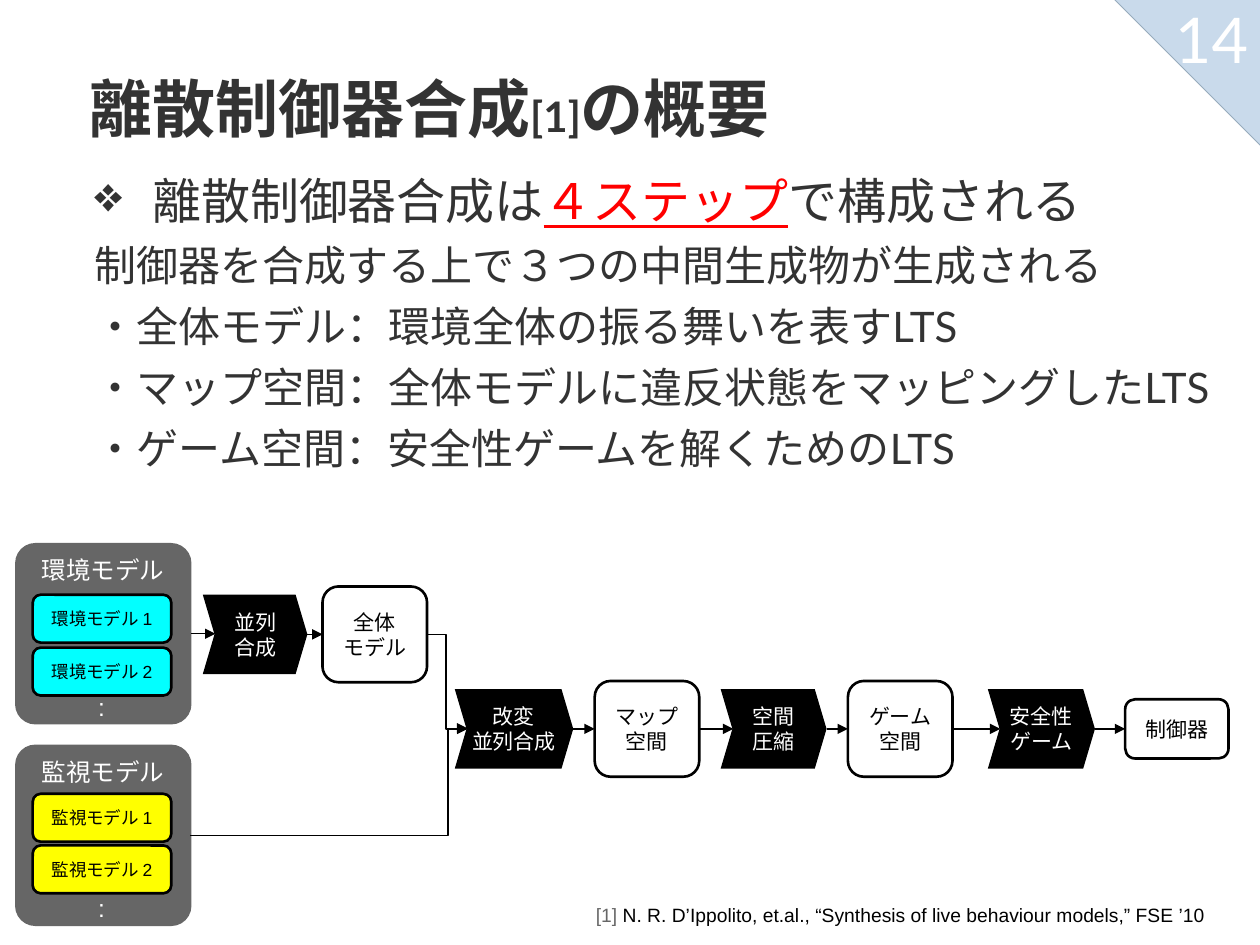
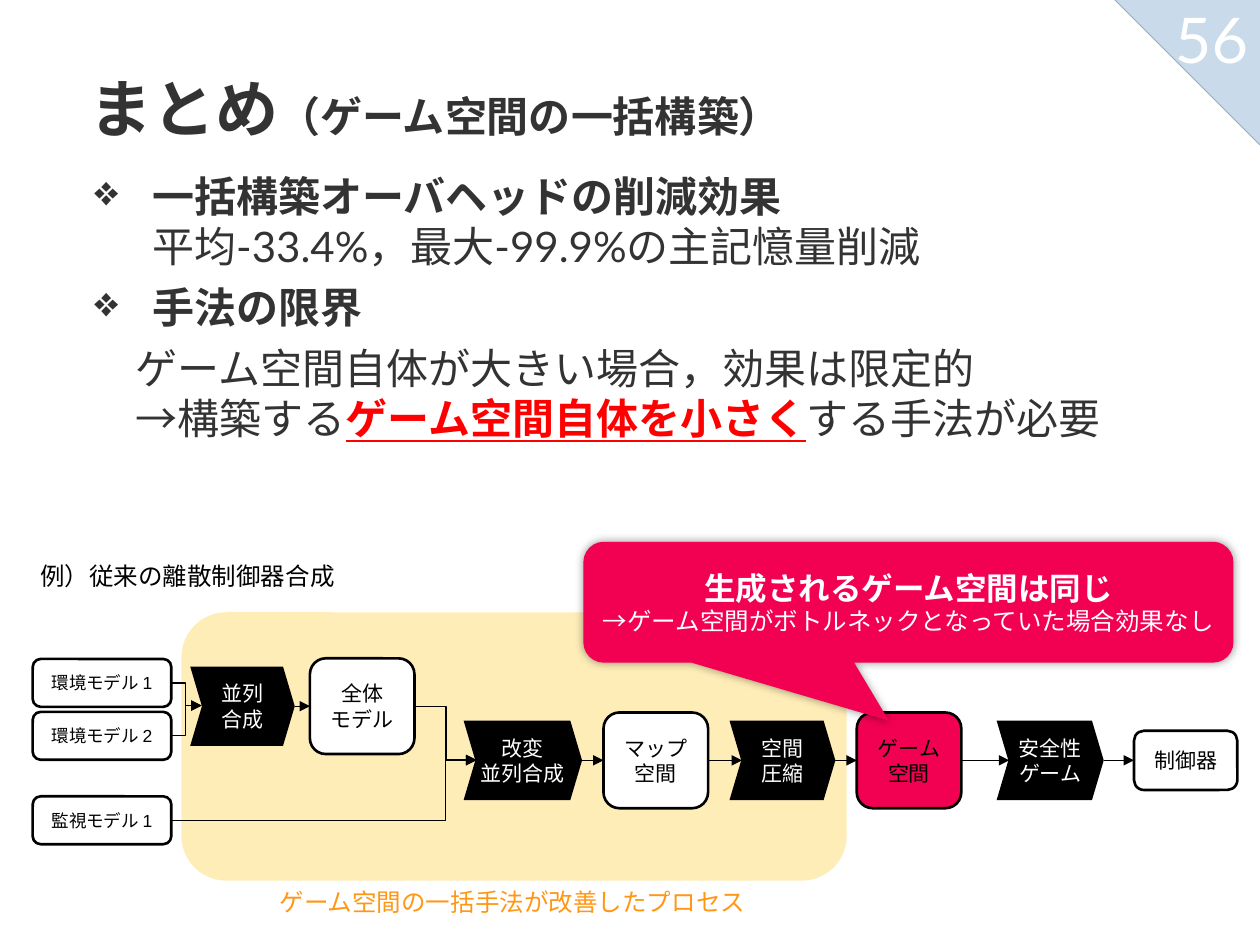
"""Two slides on discrete controller synthesis, sharing one process diagram."""
from lxml import etree
from pptx import Presentation
from pptx.dml.color import RGBColor
from pptx.enum.shapes import MSO_CONNECTOR, MSO_SHAPE
from pptx.enum.text import MSO_ANCHOR, PP_ALIGN
from pptx.oxml.ns import qn
from pptx.util import Inches, Pt

ROUND, CHEVRON = MSO_SHAPE.ROUNDED_RECTANGLE, MSO_SHAPE.CHEVRON
TRIANGLE, CALLOUT = MSO_SHAPE.RIGHT_TRIANGLE, MSO_SHAPE.ROUNDED_RECTANGULAR_CALLOUT
STRAIGHT, ELBOW = MSO_CONNECTOR.STRAIGHT, MSO_CONNECTOR.ELBOW
LEFT, CENTER = PP_ALIGN.LEFT, PP_ALIGN.CENTER
TOP, MIDDLE, BOTTOM = MSO_ANCHOR.TOP, MSO_ANCHOR.MIDDLE, MSO_ANCHOR.BOTTOM

BLACK = RGBColor(0x00, 0x00, 0x00)
WHITE = RGBColor(0xFF, 0xFF, 0xFF)
INK = RGBColor(0x33, 0x33, 0x33)
GRAY = RGBColor(0x66, 0x66, 0x66)
CORNER = RGBColor(0xC9, 0xDA, 0xEB)
CORNER_EDGE = RGBColor(0x97, 0xAB, 0xBC)
RED = RGBColor(0xFF, 0x00, 0x00)
CYAN = RGBColor(0x02, 0xFF, 0xFF)
YELLOW = RGBColor(0xFF, 0xFF, 0x00)
AMBER = RGBColor(0xFF, 0xC0, 0x00)
ORANGE = RGBColor(0xFF, 0x97, 0x15)
PINK = RGBColor(0xF2, 0x01, 0x53)


def put(slide, text, at, kind=None, fill=None, line=None, line_width=1.5, adjust=(),
        font="Arial", size=12, color=BLACK, bold=False, align=LEFT, anchor=TOP,
        wrap=True, inset=None, before=0):
    """Place text, either plain lines or (indent, hanging, runs) paragraphs, on a shape or bare."""
    box = [Inches(length) for length in at]
    if kind is None:
        shape = slide.shapes.add_textbox(*box)
    else:
        shape = slide.shapes.add_shape(kind, *box)
        shape.shadow.inherit = False
        shape.fill.solid()
        shape.fill.fore_color.rgb = fill
        if line is None:
            shape.line.fill.background()
        else:
            shape.line.color.rgb = line
            shape.line.width = Pt(line_width)
        for index, value in enumerate(adjust):
            shape.adjustments[index] = value
    frame = shape.text_frame
    frame.word_wrap = wrap
    frame.vertical_anchor = anchor
    if inset is not None:
        frame.margin_left = frame.margin_right = Inches(inset)
        frame.margin_top = frame.margin_bottom = Inches(inset)
    if isinstance(text, str):
        text = [(0, 0, [(part, {})]) for part in text.split("\n")]
    for number, (indent, hanging, runs) in enumerate(text):
        paragraph = frame.add_paragraph() if number else frame.paragraphs[0]
        if indent:
            props = paragraph._p.get_or_add_pPr()
            props.set("marL", str(Inches(indent)))
            props.set("indent", str(-Inches(hanging)))
            if hanging:
                tint = etree.SubElement(props, qn("a:buClr"))
                etree.SubElement(tint, qn("a:srgbClr"), val=str(color))
                etree.SubElement(props, qn("a:buChar"), char="❖")
        paragraph.alignment = align
        if number and before:
            paragraph.space_before = Pt(before)
        for words, look in runs:
            if words == "\v":
                paragraph.add_line_break()
                continue
            run = paragraph.add_run()
            run.text = words
            run.font.name = look.get("font", font)
            run.font.size = Pt(look.get("size", size))
            run.font.bold = look.get("bold", bold)
            run.font.underline = look.get("underline", False)
            run.font.color.rgb = look.get("color", color)
    return shape


def arrow(slide, x1, y1, x2, y2, bend=None):
    """Draw a thin arrow, with an elbow at the given share of its width if asked."""
    link = slide.shapes.add_connector(STRAIGHT if bend is None else ELBOW,
                                      Inches(x1), Inches(y1), Inches(x2), Inches(y2))
    link.line.color.rgb = BLACK
    link.line.width = Pt(0.75)
    etree.SubElement(link.line._get_or_add_ln(), qn("a:tailEnd"), type="triangle")
    props = link._element.spPr
    etree.SubElement(props, qn("a:effectLst"))
    if bend is not None:
        guides = props.find(qn("a:prstGeom")).get_or_add_avLst()
        etree.SubElement(guides, qn("a:gd"), name="adj1", fmla=f"val {round(bend * 100000)}")


BREAK = ("\v", {})
SMALL = {"size": 24}
STRONG = {"bold": True}
ALERT = {"color": RED, "underline": True}

pages = [
    {
        "number": "14",
        "title": [("離散制御器合成", {}), ("[1]", {"size": 24, "font": "Lato"}), ("の概要", {})],
        "body": [
            (0.5, 0.46, [("離散制御器合成は", {"size": 28}),
                         ("４ステップ", {"size": 28, **ALERT}),
                         ("で構成される", {"size": 28})]),
            (0.04, 0, [("制御器を合成する上で３つの中間生成物が生成される", {})]),
            (0.04, 0, [("・全体モデル：環境全体の振る舞いを表すLTS", {})]),
            (0.04, 0, [("・マップ空間：全体モデルに違反状態をマッピングしたLTS", {})]),
            (0.04, 0, [("・ゲーム空間：安全性ゲームを解くためのLTS", {})]),
        ],
        "models": [("環境モデル 1", 4.72, CYAN), ("環境モデル 2", 5.14, CYAN),
                   ("監視モデル 1", 6.3, YELLOW), ("監視モデル 2", 6.71, YELLOW)],
        "compose": (1.61, 5.035),
        "flow": (3.61, 5.785),
        "inputs": [(1.52, 5.03, 1.71, 5.03, None), (1.51, 6.63, 3.71, 5.78, 0.93)],
        "game_fill": WHITE,
    },
    {
        "number": "56",
        "title": [("まとめ", {}), ("（ゲーム空間の一括構築）", SMALL)],
        "body": [
            (0.5, 0.46, [("一括構築オーバヘッドの削減効果", STRONG), BREAK,
                         ("平均-33.4%，最大-99.9%の主記憶量削減", {})]),
            (0.5, 0.46, [("手法の限界", STRONG)]),
            (0.37, 0, [("ゲーム空間自体が大きい場合，効果は限定的", {}), BREAK,
                       ("→構築する", {}),
                       ("ゲーム空間自体を小さく", {**STRONG, **ALERT}),
                       ("する手法が必要", {})]),
        ],
        "models": [("環境モデル 1", 5.23, WHITE), ("環境モデル 2", 5.65, WHITE),
                   ("監視モデル 1", 6.32, WHITE)],
        "compose": (1.51, 5.605),
        "flow": (3.68, 6.035),
        "inputs": [(1.35, 5.42, 1.6, 5.6, 0.5), (1.35, 5.84, 1.6, 5.6, 0.5),
                   (1.35, 6.51, 3.78, 6.03, 0.9)],
        "game_fill": PINK,
    },
]

deck = Presentation()
deck.slide_width, deck.slide_height = Inches(10), Inches(7.5)
slides = []

for page in pages:
    slide = deck.slides.add_slide(deck.slide_layouts[6])
    slides.append(slide)

    corner = put(slide, "", (8.83, -0.02, 1.18, 1.18), kind=TRIANGLE,
                 fill=CORNER, line=CORNER_EDGE, line_width=0.5)
    corner.rotation = 180
    put(slide, page["number"], (9.19, -0.1, 0.85, 0.75), font="Lato", size=36,
        color=WHITE, align=CENTER, inset=0.1)
    put(slide, [(0, 0, page["title"])], (0.61, 0, 9.39, 1.25), font="Roboto", size=36,
        color=INK, bold=True, anchor=BOTTOM, inset=0.1)
    put(slide, page["body"], (0.61, 1.25, 9.39, 3.19), font="Lato", size=24,
        color=INK, inset=0.1, before=6)

    if page["number"] == "14":
        for group, top in (("環境モデル", 4.31), ("監視モデル", 5.91)):
            put(slide, group, (0.12, top, 1.4, 1.44), kind=ROUND, fill=GRAY,
                adjust=[0.115], size=14, color=WHITE, align=CENTER)
            put(slide, ":", (0.68, top + 1.13, 0.26, 0.34), size=14, color=WHITE, wrap=False)
    else:
        improved = put(slide, "", (1.44, 4.86, 5.28, 2.13), kind=ROUND, fill=AMBER)
        tint = improved._element.spPr.find(qn("a:solidFill")).find(qn("a:srgbClr"))
        etree.SubElement(tint, qn("a:alpha"), val="28000")

    for model, top, fill in page["models"]:
        put(slide, model, (0.26, top, 1.1, 0.38), kind=ROUND, fill=fill, line=BLACK,
            size=10, align=CENTER, anchor=MIDDLE)

    compose_x, compose_y = page["compose"]
    flow_x, flow_y = page["flow"]
    steps = [("並列\n合成", compose_x, compose_y, 0.83),
             ("改変\n並列合成", flow_x, flow_y, 0.94),
             ("空間\n圧縮", flow_x + 2.11, flow_y, 0.84),
             ("安全性\nゲーム", flow_x + 4.23, flow_y, 0.85)]
    products = [("全体\nモデル", compose_x + 0.95, compose_y, 0.83, 0.76, WHITE),
                ("マップ空間", flow_x + 1.11, flow_y, 0.83, 0.76, WHITE),
                ("ゲーム空間", flow_x + 3.12, flow_y, 0.83, 0.76, page["game_fill"]),
                ("制御器", flow_x + 5.32, flow_y, 0.82, 0.47, WHITE)]
    for step, left, middle, width in steps:
        put(slide, step, (left, middle - 0.315, width, 0.63), kind=CHEVRON, fill=BLACK,
            adjust=[0.148], color=WHITE, align=CENTER, anchor=MIDDLE, wrap=False)
    for product, left, middle, width, height, fill in products:
        put(slide, product, (left, middle - height / 2, width, height), kind=ROUND,
            fill=fill, line=BLACK, align=CENTER, anchor=MIDDLE)

    for (_, step_x, middle, width), product in zip(steps, products):
        arrow(slide, step_x + width, middle, product[1], middle)
    for product, step in zip(products[1:], steps[2:]):
        arrow(slide, product[1] + product[3], flow_y, step[1] + 0.1, flow_y)
    whole_right = compose_x + 1.78
    merge_x = flow_x + 0.1
    bend = (3.54 - whole_right) / (merge_x - whole_right)
    arrow(slide, whole_right, compose_y, merge_x, flow_y, bend)
    for x1, y1, x2, y2, bend in page["inputs"]:
        arrow(slide, x1, y1, x2, y2, bend)

overview, summary = slides

put(overview, [(0, 0, [("[1] ", {"color": GRAY}),
                       ("N. R. D’Ippolito, et.al., “Synthesis of live behaviour models,” FSE ’10", {})])],
    (4.63, 7.12, 5.22, 0.29), size=11)

put(summary, "例）従来の離散制御器合成", (0.22, 4.4, 2.56, 0.34), size=14, wrap=False)
put(summary, "ゲーム空間の一括手法が改善したプロセス", (2.12, 6.99, 3.93, 0.34), size=14,
    color=ORANGE, wrap=False)
bottleneck = put(summary, [(0, 0, [("生成されるゲーム空間は同じ", {"size": 18, "bold": True})]),
                           (0, 0, [("→ゲーム空間がボトルネックとなっていた場合効果なし", {})])],
                 (4.63, 4.3, 5.16, 0.96), kind=CALLOUT, fill=PINK, adjust=[-0.03, 0.98, 0.17],
                 size=14, color=WHITE, align=CENTER, anchor=MIDDLE)
glow = etree.SubElement(bottleneck._element.spPr.find(qn("a:effectLst")), qn("a:outerShdw"),
                        blurRad=str(Pt(5)), dist="0", dir="0", algn="ctr", rotWithShape="0")
shade = etree.SubElement(glow, qn("a:srgbClr"), val=str(BLACK))
etree.SubElement(shade, qn("a:alpha"), val="40000")

deck.save("out.pptx")
